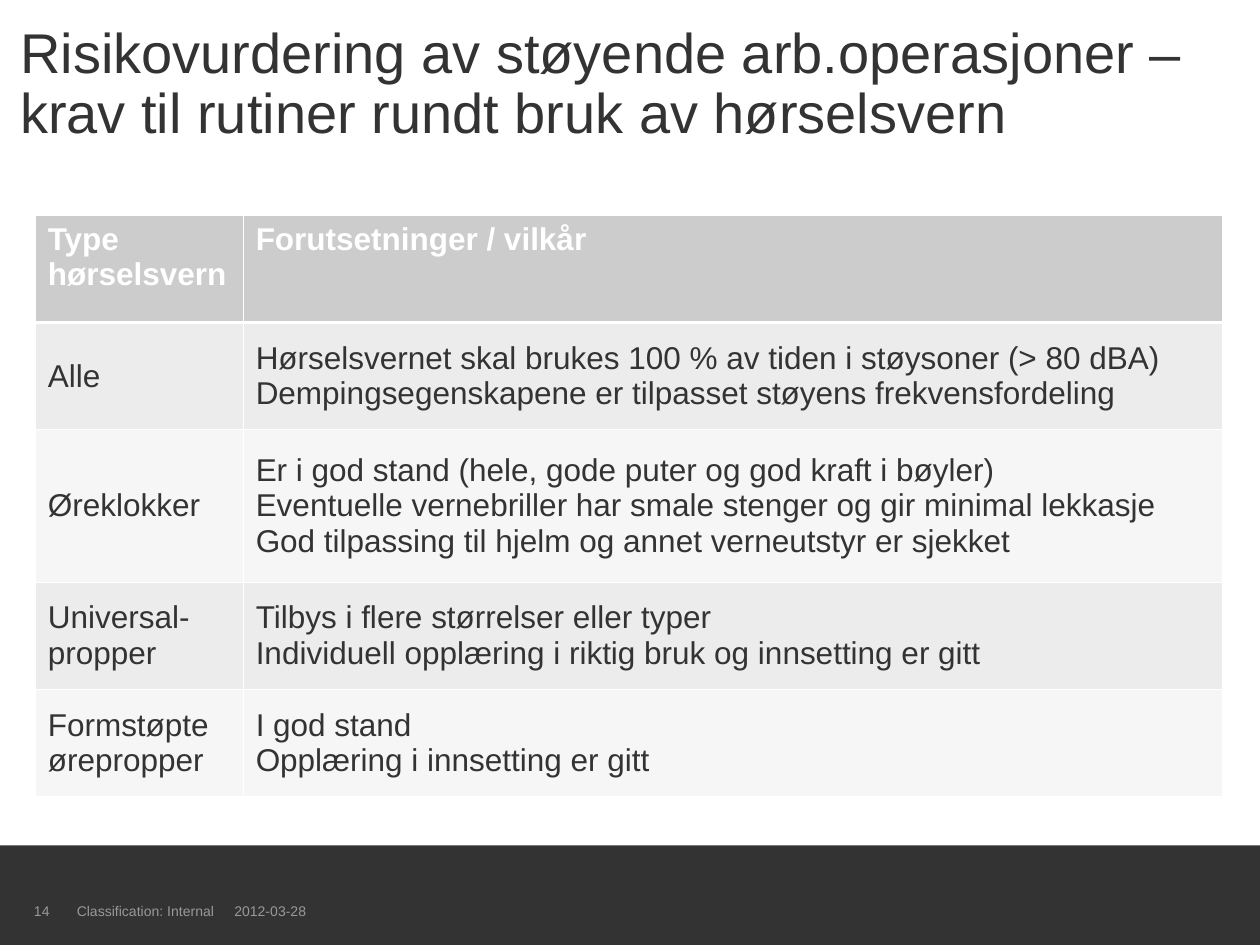
from dataclasses import dataclass

from lxml import etree
from pptx import Presentation
from pptx import util as u
from pptx.dml.color import RGBColor
from pptx.enum import shapes, text
from pptx.oxml import ns

DARK = RGBColor(0x33, 0x33, 0x33)
WHITE = RGBColor(0xFF, 0xFF, 0xFF)
HEADER_GREY = RGBColor(0xCC, 0xCC, 0xCC)
BAND_GREYS = (RGBColor(0xEC, 0xEC, 0xEC), RGBColor(0xF6, 0xF6, 0xF6))
FOOTER_GREY = RGBColor(0x99, 0x99, 0x99)
FONT = "Arial"
THIN, THICK = 0.45, 1.47
COLUMN_WIDTHS = (1.65, 7.77)


@dataclass
class Protection:
    kind: str
    conditions: list[str]
    height: float = 0.85


HEADER = Protection("Type hørselsvern", ["Forutsetninger / vilkår"])
PROTECTIONS = [
    Protection("Alle", [
        "Hørselsvernet skal brukes 100 % av tiden i støysoner (> 80 dBA)",
        "Dempingsegenskapene er tilpasset støyens frekvensfordeling"]),
    Protection("Øreklokker", [
        "Er i god stand (hele, gode puter og god kraft i bøyler)",
        "Eventuelle vernebriller har smale stenger og gir minimal lekkasje",
        "God tilpassing til hjelm og annet verneutstyr er sjekket"], 1.21),
    Protection("Universal-propper", [
        "Tilbys i flere størrelser eller typer",
        "Individuell opplæring i riktig bruk og innsetting er gitt"]),
    Protection("Formstøpte ørepropper", [
        "I god stand",
        "Opplæring i innsetting er gitt"]),
]


def style_paragraph(paragraph, size: float, color: RGBColor, bold: bool = False) -> None:
    font = paragraph.font
    font.name, font.size, font.bold = FONT, u.Pt(size), bold
    font.color.rgb = color


def set_borders(cell, top: float, bottom: float) -> None:
    """Draw white cell borders; they must come before the fill."""
    properties = cell._tc.get_or_add_tcPr()
    widths = {"a:lnL": THIN, "a:lnR": THIN, "a:lnT": top, "a:lnB": bottom}
    for position, (tag, width) in enumerate(widths.items()):
        line = etree.Element(ns.qn(tag), w=str(u.Pt(width)))
        fill = etree.SubElement(line, ns.qn("a:solidFill"))
        etree.SubElement(fill, ns.qn("a:srgbClr"), val=str(WHITE))
        properties.insert(position, line)


def fill_row(table, index: int, row: Protection) -> None:
    is_header = index == 0
    table.rows[index].height = u.Inches(row.height)
    for column, lines in enumerate(([row.kind], row.conditions)):
        cell = table.cell(index, column)
        cell.fill.solid()
        cell.fill.fore_color.rgb = HEADER_GREY if is_header else BAND_GREYS[(index - 1) % 2]
        cell.vertical_anchor = text.MSO_ANCHOR.TOP if is_header else text.MSO_ANCHOR.MIDDLE
        set_borders(cell, THICK if index == 1 else THIN, THICK if is_header else THIN)
        cell.text_frame.text = "\n".join(lines)
        for paragraph in cell.text_frame.paragraphs:
            style_paragraph(paragraph, 18, WHITE if is_header else DARK, is_header)


def add_footer(slide, left: float, width: float, content: str, tab: float = 0) -> None:
    box = slide.shapes.add_textbox(u.Inches(left), u.Inches(7.15), u.Inches(width), u.Inches(0.2))
    frame = box.text_frame
    frame.word_wrap = True
    frame.margin_left = frame.margin_right = frame.margin_top = frame.margin_bottom = 0
    paragraph = frame.paragraphs[0]
    paragraph.text = content
    paragraph.line_spacing = 1.1
    if tab:
        tabs = etree.SubElement(paragraph._p.get_or_add_pPr(), ns.qn("a:tabLst"))
        etree.SubElement(tabs, ns.qn("a:tab"), pos=str(u.Inches(tab)), algn="l")
    style_paragraph(paragraph, 8, FOOTER_GREY)


def main() -> None:
    prs = Presentation()
    prs.slide_width, prs.slide_height = u.Inches(10), u.Inches(7.5)
    slide = prs.slides.add_slide(prs.slide_layouts[5])

    # Title
    title = slide.shapes.title
    title.left, title.top = u.Inches(0.16), u.Inches(0.28)
    title.width, title.height = u.Inches(9.61), u.Inches(0.98)
    frame = title.text_frame
    frame.text = "Risikovurdering av støyende arb.operasjoner – krav til rutiner rundt bruk av hørselsvern"
    frame.auto_size = text.MSO_AUTO_SIZE.NONE
    frame.vertical_anchor = text.MSO_ANCHOR.BOTTOM
    frame.margin_left = 0
    frame.margin_top = frame.margin_right = frame.margin_bottom = u.Inches(0.1)
    heading = frame.paragraphs[0]
    heading.alignment = text.PP_ALIGN.LEFT
    heading.line_spacing = 0.9
    style_paragraph(heading, 32, DARK)

    # Dark band along the bottom
    band = slide.shapes.add_shape(
        shapes.MSO_SHAPE.RECTANGLE, 0, u.Inches(6.71), prs.slide_width, u.Inches(0.79))
    band.shadow.inherit = False
    band.fill.solid()
    band.fill.fore_color.rgb = DARK
    band.line.fill.background()

    # Table of hearing protection and its conditions
    rows = [HEADER, *PROTECTIONS]
    table = slide.shapes.add_table(
        len(rows), len(COLUMN_WIDTHS), u.Inches(0.28), u.Inches(1.71),
        u.Inches(sum(COLUMN_WIDTHS)), u.Inches(sum(row.height for row in rows))).table
    for column, width in zip(table.columns, COLUMN_WIDTHS):
        column.width = u.Inches(width)
    for index, row in enumerate(rows):
        fill_row(table, index, row)

    # Footer
    add_footer(slide, 0.61, 4.67, "Classification: Internal\t2012-03-28", tab=1.25)
    add_footer(slide, 0.27, 0.34, "14")

    prs.save("out.pptx")


if __name__ == "__main__":
    main()
